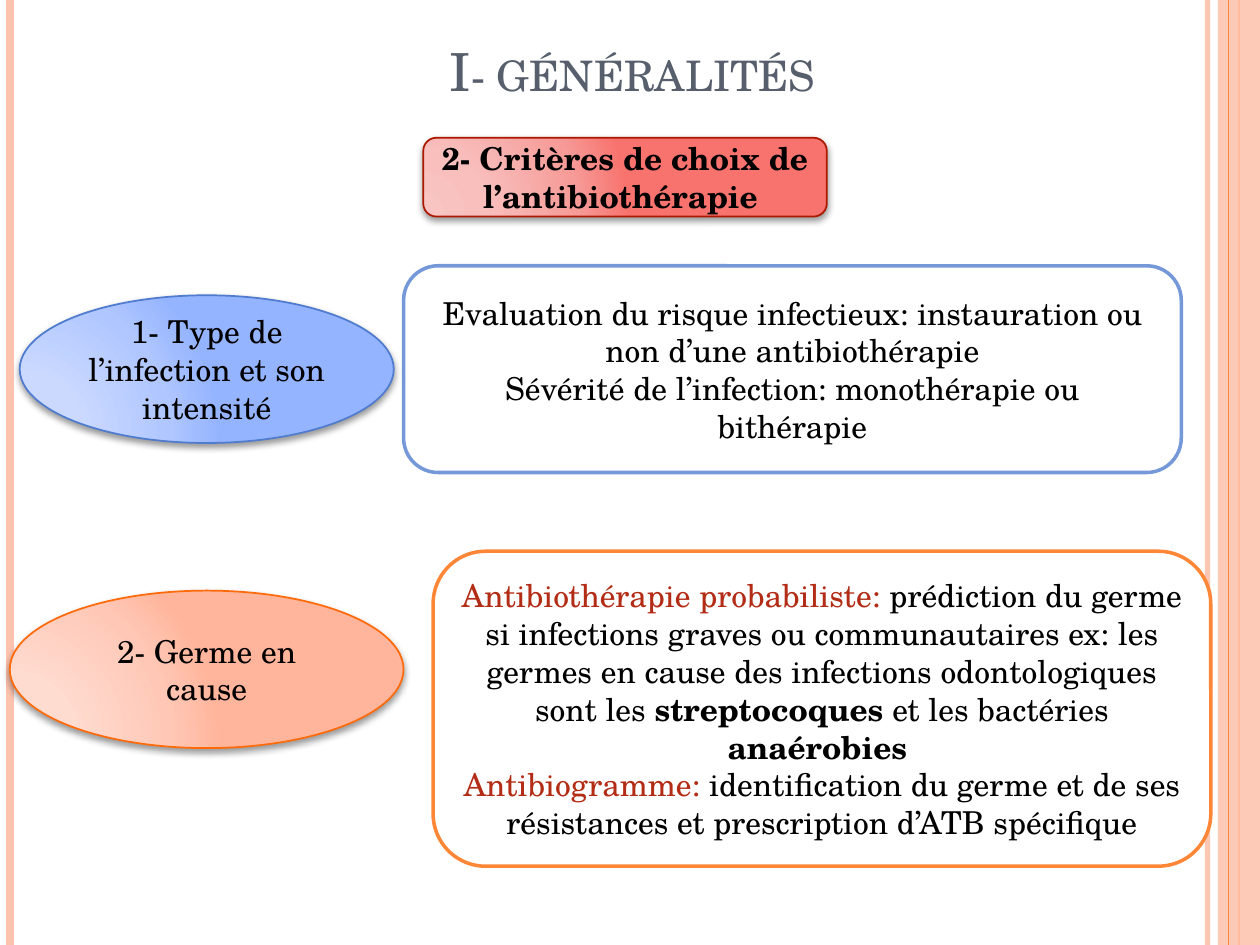
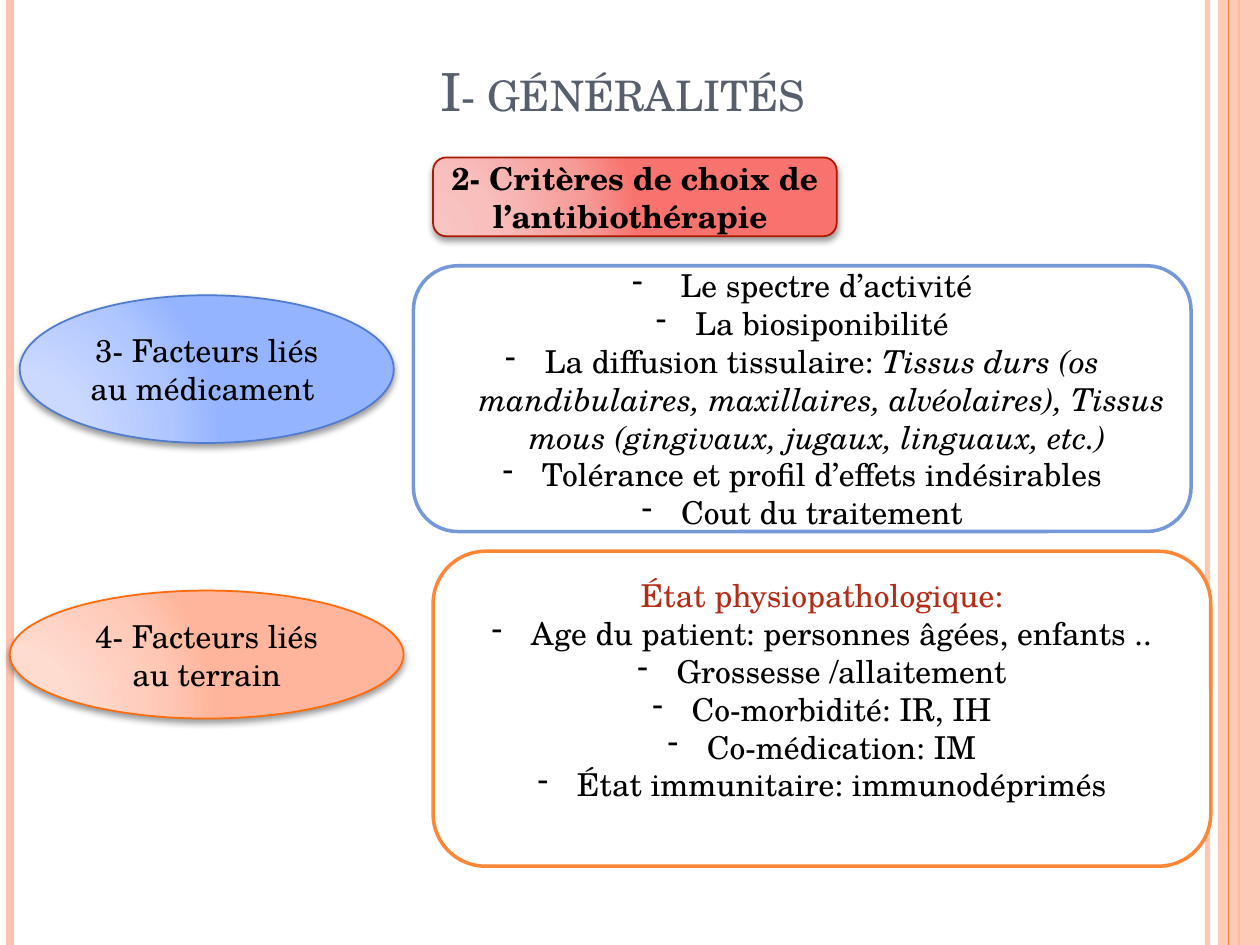
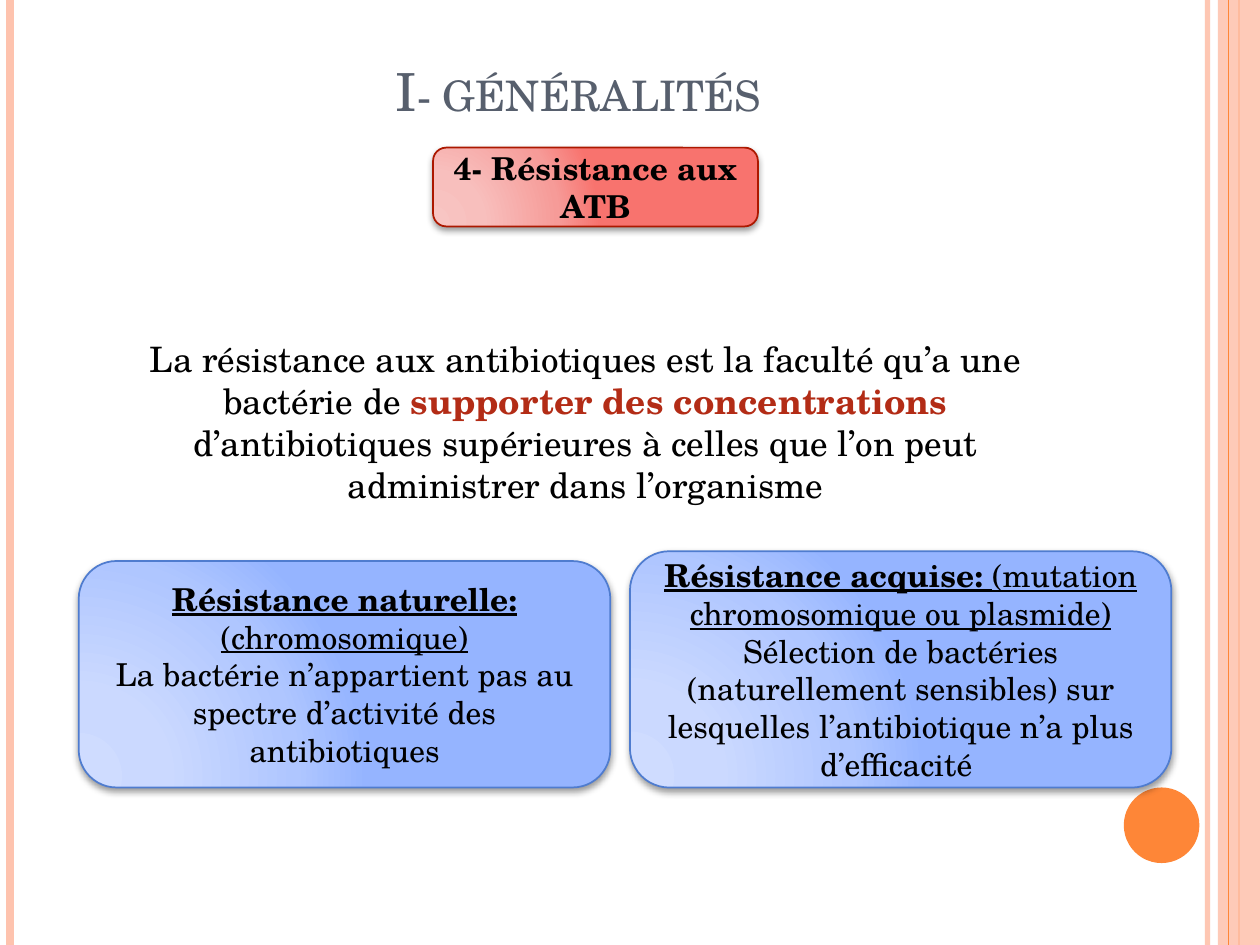
from dataclasses import dataclass
from typing import NamedTuple

from lxml.etree import SubElement
from pptx import Presentation
from pptx.dml.color import RGBColor
from pptx.enum.shapes import MSO_CONNECTOR as Link, MSO_SHAPE as Preset
from pptx.enum.text import MSO_ANCHOR as Anchor, PP_ALIGN as Align
from pptx.oxml.ns import qn
from pptx.util import Pt

CELL = 45 / 8


class Accent(NamedTuple):
    line: str
    frame: str
    stops: tuple


@dataclass(frozen=True)
class Theme:
    font: str = "TeX Gyre Schola"
    title_size: int = 30
    lead_size: int = 20
    body_size: int = 18
    title: str = "575F6D"
    ink: str = "000000"
    key: str = "B32C16"
    paper: str = "FFFFFF"
    band: str = "FEC3AE"
    orange: str = "FE8637"
    red_tone: Accent = Accent("AC1800", "AC1800", ("F8C5C3", "F8BFBD", "F69B98", "F8736E"))
    blue_tone: Accent = Accent("4F7CCF", "7598D9", ("CFDCFF", "CBD9FF", "AFC6FF", "95B4FF"))
    orange_tone: Accent = Accent("FF6B0A", "FE8637", ("FFDED5", "FFDBD0", "FFC8B6", "FFB59B"))


THEME = Theme()


class Box(NamedTuple):
    left: float
    top: float
    width: float
    height: float

    def lengths(self):
        return [Pt(cells * CELL) for cells in self]


class Span(NamedTuple):
    text: str
    color: str = THEME.ink
    bold: bool = False
    italic: bool = False
    underline: bool = False


class Para(NamedTuple):
    spans: tuple
    bullet: bool = False


def plain(*texts):
    return [Para((Span(text),)) for text in texts]


def bullets(*texts):
    return [Para((Span(text),), True) for text in texts]


def rgb(color):
    return RGBColor.from_string(color)


def set_opacity(element, percent):
    color = next(element.iter(qn("a:srgbClr")))
    SubElement(color, qn("a:alpha"), val=str(percent * 1000))


def add_dash(para):
    props = para._p.get_or_add_pPr()
    props.set("marL", str(Pt(22.5)))
    props.set("indent", str(-Pt(22.5)))
    SubElement(props, qn("a:buFontTx"))
    SubElement(props, qn("a:buChar"), char="-")


def write(shape, paras, size, anchor=Anchor.MIDDLE, extra_bottom=0):
    frame = shape.text_frame
    frame.word_wrap = True
    frame.vertical_anchor = anchor
    frame.margin_bottom = Pt(3.6 + extra_bottom)
    for index, content in enumerate(paras):
        para = frame.add_paragraph() if index else frame.paragraphs[0]
        if content.bullet:
            add_dash(para)
        para.alignment = Align.CENTER
        for span in content.spans:
            run = para.add_run()
            run.text = span.text
            font = run.font
            font.name, font.size = THEME.font, Pt(size)
            font.color.rgb = rgb(span.color)
            font.bold, font.italic, font.underline = span.bold, span.italic, span.underline


def add_flat(page, preset, lengths, fill, line=None):
    shape = page.shapes.add_shape(preset, *lengths)
    shape.shadow.inherit = False
    shape.fill.solid()
    shape.fill.fore_color.rgb = rgb(fill)
    if line:
        shape.line.color.rgb = rgb(line)
        shape.line.width = Pt(2)
    else:
        shape.line.fill.background()
    return shape


def add_glossy(page, preset, box, tone):
    shape = add_flat(page, preset, box.lengths(), tone.stops[-1], tone.line)
    shape.line.width = Pt(1)
    props = shape._element.spPr
    solid = props.find(qn("a:solidFill"))
    gradient = solid.makeelement(qn("a:gradFill"), {"rotWithShape": "1"})
    props.replace(solid, gradient)
    stops = SubElement(gradient, qn("a:gsLst"))
    for position, color in zip((0, 30, 75, 100), tone.stops):
        stop = SubElement(stops, qn("a:gs"), pos=str(position * 1000))
        SubElement(stop, qn("a:srgbClr"), val=color)
    circle = SubElement(gradient, qn("a:path"), path="circle")
    SubElement(circle, qn("a:fillToRect"), l="5000", t="100000", r="120000", b="10000")
    shadow = SubElement(props.find(qn("a:effectLst")), qn("a:outerShdw"),
                        blurRad=str(Pt(4)), dist=str(Pt(2)), dir="5400000", rotWithShape="0")
    SubElement(shadow, qn("a:srgbClr"), val=THEME.ink)
    set_opacity(shadow, 40)
    return shape


def add_rule(page, left, color, weight):
    rule = page.shapes.add_connector(Link.STRAIGHT, Pt(left), 0, Pt(left), Pt(540))
    rule.line.color.rgb = rgb(color)
    rule.line.width = Pt(weight)
    SubElement(rule._element.spPr, qn("a:effectLst"))
    return rule


def add_bands(page):
    set_opacity(add_rule(page, 690, THEME.band, 3)._element.spPr, 93)
    add_rule(page, 5.6, THEME.band, 4.5)
    add_rule(page, 708, THEME.orange, 1.5)
    band = add_flat(page, Preset.RECTANGLE, [Pt(696), 0, Pt(24), Pt(540)], THEME.band)
    set_opacity(band._element.spPr, 87)
    add_rule(page, 702, THEME.orange, 0.75)


def add_title(page, left, top):
    box = page.shapes.add_textbox(*Box(left, top, 104.5, 16).lengths())
    write(box, [Para((Span("I- généralités", THEME.title),))], THEME.title_size, Anchor.BOTTOM)
    box.text_frame.paragraphs[0].runs[0].font._element.set("cap", "small")


def add_heading(page, box, text):
    heading = add_glossy(page, Preset.ROUNDED_RECTANGLE, box, THEME.red_tone)
    write(heading, [Para((Span(text, bold=True),))], THEME.body_size)


def add_criterion(page, row, label_box, tone, label, paras, extra_bottom=0):
    place = label_box._replace(left=row.left + label_box.left, top=row.top + label_box.top)
    oval = add_glossy(page, Preset.OVAL, place, tone)
    write(oval, plain(label), THEME.body_size)
    card_width = 79
    card_box = row._replace(left=row.left + row.width - card_width, width=card_width)
    card = add_flat(page, Preset.ROUNDED_RECTANGLE, card_box.lengths(), THEME.paper, tone.frame)
    write(card, paras, THEME.body_size, extra_bottom=extra_bottom)


def add_resistance(page, box, name, origin, meaning):
    card = add_glossy(page, Preset.ROUNDED_RECTANGLE, box, THEME.blue_tone)
    lead = Para((Span(name, bold=True, underline=True), Span(origin, underline=True)))
    write(card, [lead, *plain(meaning)], THEME.body_size)


def new_page(deck):
    page = deck.slides.add_slide(deck.slide_layouts[6])
    add_bands(page)
    return page


def infection_page(deck):
    page = new_page(deck)
    add_title(page, 12, -5)
    add_heading(page, Box(43, 14, 41, 8), "2- Critères de choix de l’antibiothérapie ")
    add_criterion(page, Box(2, 27, 118, 21), Box(0, 3, 38, 15), THEME.blue_tone,
                  "1- Type de l’infection et son intensité",
                  plain("Evaluation du risque infectieux: instauration ou non d’une antibiothérapie",
                        "Sévérité de l’infection: monothérapie ou bithérapie"))
    germs = [
        Para((Span("Antibiothérapie probabiliste: ", THEME.key),
              Span("prédiction du germe si infections graves ou communautaires ex: les germes "
                   "en cause des infections odontologiques sont les "),
              Span("streptocoques", bold=True),
              Span(" et les bactéries "),
              Span("anaérobies ", bold=True))),
        Para((Span("Antibiogramme: ", THEME.key),
              Span("identification du germe et de ses résistances et prescription "
                   "d’ATB spécifique"))),
    ]
    add_criterion(page, Box(1, 56, 122, 32), Box(0, 4, 40, 16), THEME.orange_tone,
                  "2- Germe en cause", germs)


def factors_page(deck):
    page = new_page(deck)
    add_title(page, 11, -3)
    add_heading(page, Box(44, 16, 41, 8), "2- Critères de choix de l’antibiothérapie ")
    diffusion = Para((Span("La diffusion tissulaire: "),
                      Span("Tissus durs (os mandibulaires, maxillaires, alvéolaires), Tissus mous "
                           "(gingivaux, jugaux, linguaux, etc.) ", italic=True)), True)
    drug = [*bullets(" Le spectre d’activité", "La biosiponibilité"), diffusion,
            *bullets("Tolérance et profil d’effets indésirables", "Cout du traitement")]
    add_criterion(page, Box(2, 27, 119, 27), Box(0, 3, 38, 15), THEME.blue_tone,
                  "3- Facteurs liés au médicament ", drug)
    patient = [Para((Span("État physiopathologique:", THEME.key),)),
               *bullets("Age du patient: personnes âgées, enfants ..", "Grossesse /allaitement",
                        "Co-morbidité: IR, IH", "Co-médication: IM",
                        "État immunitaire: immunodéprimés")]
    add_criterion(page, Box(1, 56, 122, 32), Box(0, 4, 40, 13), THEME.orange_tone,
                  "4- Facteurs liés au terrain", patient, extra_bottom=21.6)


def resistance_page(deck):
    page = new_page(deck)
    add_flat(page, Preset.OVAL, [Pt(642.2), Pt(450), Pt(43.2), Pt(43.2)], THEME.orange)
    add_title(page, 6.5, -3)
    definition = add_flat(page, Preset.ROUNDED_RECTANGLE, Box(10, 26, 99, 38).lengths(), THEME.paper)
    write(definition, [Para((
        Span("La résistance aux antibiotiques est la faculté qu’a une bactérie de "),
        Span("supporter des concentrations ", THEME.key, bold=True),
        Span("d’antibiotiques supérieures à celles que l’on peut administrer dans l’organisme"),
    ))], THEME.lead_size, extra_bottom=24)
    add_heading(page, Box(44, 15, 33, 8), "4- Résistance aux ATB")
    add_resistance(page, Box(8, 57, 54, 23), "Résistance naturelle: ", "(chromosomique)",
                   "La bactérie n’appartient pas au spectre d’activité des antibiotiques")
    add_resistance(page, Box(64, 56, 55, 24), "Résistance acquise: ",
                   "(mutation chromosomique ou plasmide)",
                   "Sélection de bactéries (naturellement sensibles) sur lesquelles "
                   "l’antibiotique n’a plus d’efficacité ")


def main():
    deck = Presentation()
    deck.slide_width, deck.slide_height = Pt(720), Pt(540)
    infection_page(deck)
    factors_page(deck)
    resistance_page(deck)
    deck.save("out.pptx")


if __name__ == "__main__":
    main()
